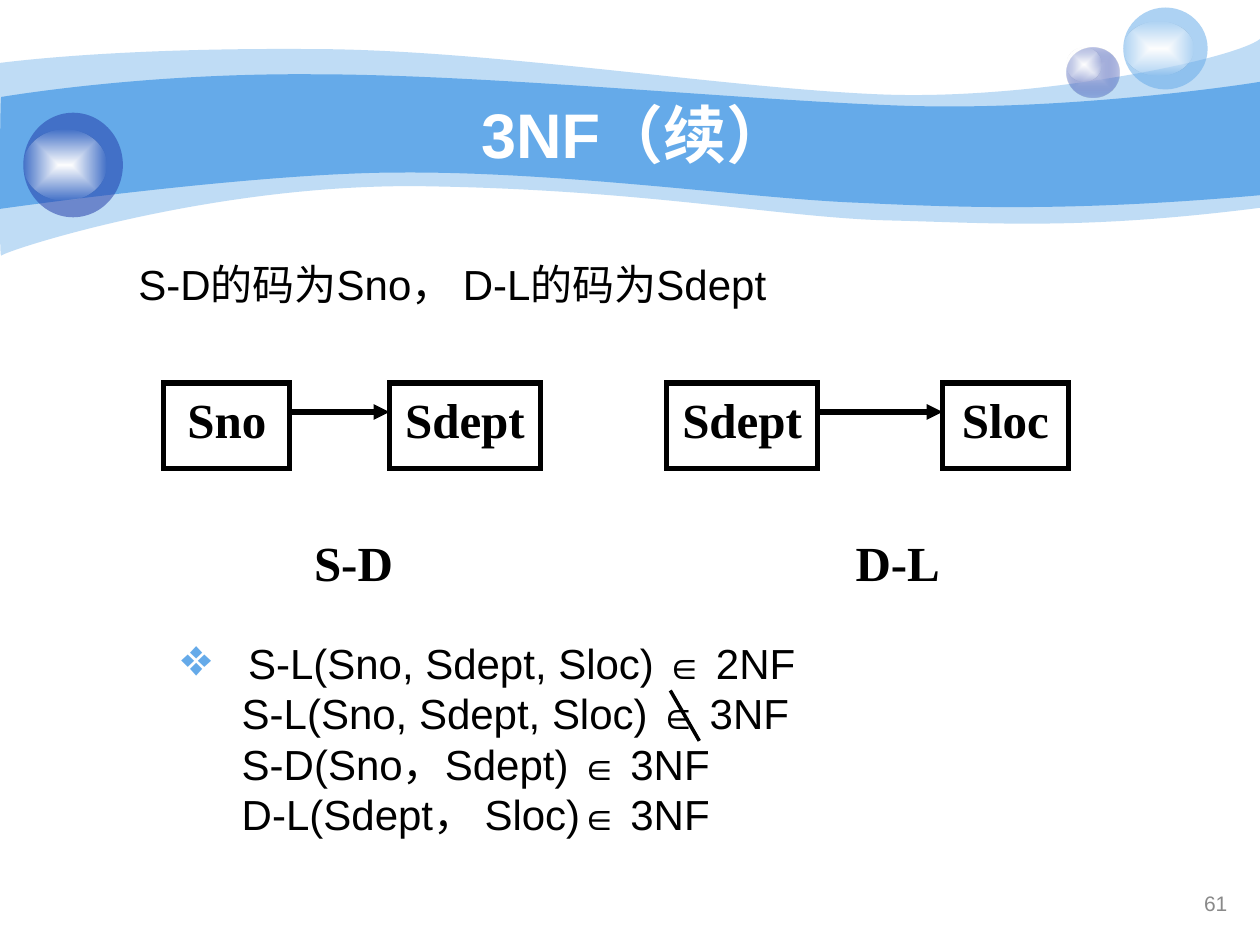
from dataclasses import dataclass

from lxml.etree import SubElement
from pptx import Presentation
from pptx.dml.color import RGBColor
from pptx.enum.shapes import MSO_CONNECTOR, MSO_SHAPE
from pptx.enum.text import MSO_ANCHOR, PP_ALIGN
from pptx.oxml import parse_xml
from pptx.oxml.ns import nsdecls, qn
from pptx.util import Inches, Pt


@dataclass(frozen=True)
class Theme:
    sky: str = "65AAE9"
    navy: str = "233DA9"
    lilac: str = "C7CEE9"
    white: str = "FFFFFF"
    ink: str = "000000"
    grey: str = "898989"
    sans: str = "Arial"
    serif: str = "Times New Roman"
    title: int = 36
    node: int = 28
    body: int = 24
    symbol: int = 22
    page: int = 12


THEME = Theme()
COLUMNS, ROWS = 100, 75  # square grid cells, a tenth of an inch each
BOX_TOP, BOX_HEIGHT, ARROW_ROW, LABEL_TOP = 30.4, 6.8, 32.7, 41.75

# Wave outlines in grid cells: three points make a Bezier curve, one a straight side
PALE_WAVE = [
    [(0, 5)],
    [(2.4, 4.7), (10.7, 3.8), (24.7, 3.9)],
    [(38.6, 3.9), (57.5, 7), (69.9, 7.5)],
    [(82.2, 8), (98, 4.7), (100, 3.1)],
    [(100, 16.5)],
    [(85.8, 18.3), (78.7, 17.7), (70.5, 17.5)],
    [(62.2, 17.3), (51.5, 15.1), (34.3, 14.8)],
    [(17.2, 14.4), (0.4, 19.9), (0.1, 20.3)],
    [(-0.1, 20.8), (0, 7.5), (0, 5)],
]
BLUE_WAVE = [
    [(0.1, 7.7)],
    [(0.2, 7.7), (11, 5.8), (24.8, 5.9)],
    [(38.6, 5.9), (59.5, 8), (71.8, 8.4)],
    [(84.1, 8.8), (97.6, 6.9), (100, 6.5)],
    [(100, 15.5)],
    [(85.3, 16.8), (76.5, 16.5), (68.2, 16.1)],
    [(59.9, 15.8), (44.7, 13.6), (31.7, 13.7)],
    [(20.3, 13.7), (-0.2, 16.6), (-0.1, 16.6)],
    [(0, 16.6), (0, 7.7), (0.1, 7.7)],
]


def cells(*lengths):
    return [Inches(length / 10) for length in lengths]


def fill_solid(shape, color, opacity=100):
    shape.fill.solid()
    shape.fill.fore_color.rgb = RGBColor.from_string(color)
    if opacity < 100:
        srgb = shape._element.spPr.find(qn("a:solidFill"))[0]
        SubElement(srgb, qn("a:alpha"), val=str(opacity * 1000))


def fill_glow(shape, center, edge, edge_opacity):
    shape.fill.background()
    properties = shape._element.spPr
    properties.replace(properties.find(qn("a:noFill")), parse_xml(
        f'<a:gradFill {nsdecls("a")}><a:gsLst>'
        f'<a:gs pos="0"><a:srgbClr val="{center}"/></a:gs>'
        f'<a:gs pos="100000"><a:srgbClr val="{edge}">'
        f'<a:alpha val="{edge_opacity * 1000}"/></a:srgbClr></a:gs></a:gsLst>'
        '<a:path path="rect"><a:fillToRect l="50000" t="50000" r="50000" b="50000"/>'
        '</a:path></a:gradFill>'))


def add_wave(slide, outline, color, opacity=100):
    (start,), *segments = outline
    builder = slide.shapes.build_freeform(*cells(*start))
    builder.add_line_segments([cells(*point) for segment in segments for point in segment])
    wave = builder.convert_to_shape()
    # Join each run of three points into one Bezier curve
    sides = iter(list(wave._element.iter(qn("a:lnTo"))))
    for segment in segments:
        curve, *others = [next(sides) for _ in segment]
        if others:
            curve.tag = qn("a:cubicBezTo")
        for other in others:
            curve.append(other[0])
            other.getparent().remove(other)
    wave.shadow.inherit = False
    wave.line.fill.background()
    fill_solid(wave, color, opacity)


def add_ellipse(slide, area):
    ellipse = slide.shapes.add_shape(MSO_SHAPE.OVAL, *cells(*area))
    ellipse.shadow.inherit = False
    ellipse.line.fill.background()
    return ellipse


def add_line(slide, start, end, width, arrow=False):
    line = slide.shapes.add_connector(MSO_CONNECTOR.STRAIGHT, *cells(*start, *end))
    line.line.width = Pt(width)
    line.line.color.rgb = RGBColor.from_string(THEME.ink)
    if arrow:
        SubElement(line._element.spPr.find(qn("a:ln")), qn("a:tailEnd"), type="triangle")
    SubElement(line._element.spPr, qn("a:effectLst"))


def write(paragraph, *pieces, size, font=THEME.sans, color=THEME.ink, bold=False,
          align=PP_ALIGN.LEFT, margin=0, indent=0, bullet=None):
    """Fill a paragraph; a piece is a string or a (string, size) pair."""
    paragraph.alignment = align
    properties = paragraph._p.get_or_add_pPr()
    properties.set("marL", str(Inches(margin)))
    properties.set("indent", str(Inches(indent)))
    if bullet:
        SubElement(SubElement(properties, qn("a:buClr")), qn("a:srgbClr"), val=THEME.sky)
        SubElement(properties, qn("a:buSzPct"), val="125000")
        SubElement(properties, qn("a:buChar"), char=bullet)
    for piece in pieces:
        text, points = (piece, size) if isinstance(piece, str) else piece
        run = paragraph.add_run()
        run.text = text
        run.font.size, run.font.name, run.font.bold = Pt(points), font, bold
        run.font.color.rgb = RGBColor.from_string(color)


def add_frame(slide, area, anchor=MSO_ANCHOR.TOP):
    frame = slide.shapes.add_textbox(*cells(*area)).text_frame
    frame.word_wrap = True
    frame.vertical_anchor = anchor
    return frame


def add_node(slide, name, left, width):
    node = slide.shapes.add_shape(
        MSO_SHAPE.RECTANGLE, *cells(left, BOX_TOP, width, BOX_HEIGHT))
    node.shadow.inherit = False
    node.fill.background()
    node.line.width = Pt(3)
    node.line.color.rgb = RGBColor.from_string(THEME.ink)
    SubElement(node._element.spPr.find(qn("a:ln")), qn("a:miter"), lim="800000")
    node.text_frame.vertical_anchor = MSO_ANCHOR.TOP
    write(node.text_frame.paragraphs[0], name, size=THEME.node, font=THEME.serif,
          bold=True, align=PP_ALIGN.CENTER)


def add_dependency(slide, source, target, label):
    """Draw two (name, left, width) nodes, the arrow between them and a label."""
    add_node(slide, *source)
    add_node(slide, *target)
    add_line(slide, (source[1] + source[2], ARROW_ROW), (target[1], ARROW_ROW), 3, arrow=True)
    name, left, width = label
    caption = add_frame(slide, (left, LABEL_TOP, width, BOX_HEIGHT))
    write(caption.paragraphs[0], name, size=THEME.node, font=THEME.serif,
          bold=True, align=PP_ALIGN.CENTER)


def add_background(slide):
    add_wave(slide, PALE_WAVE, THEME.sky, 41)
    add_wave(slide, BLUE_WAVE, THEME.sky)
    bubbles = [
        ((84.65, 3.75, 4.2, 4), (84.65, 3.75, 2.8, 2.7), None),
        ((89.15, 0.6, 6.7, 6.5), (89.15, 1.7, 5.6, 4.3), THEME.sky),
        ((1.85, 8.95, 7.9, 8.3), (1.85, 10.3, 6.6, 5.6), THEME.navy),
    ]
    for ball, shine, color in bubbles:
        if color:
            fill_solid(add_ellipse(slide, ball), color, 53)
        else:
            fill_glow(add_ellipse(slide, ball), THEME.lilac, THEME.navy, 31)
        fill_glow(add_ellipse(slide, shine), THEME.white, THEME.white, 0)


def add_normal_forms(slide):
    relations = [("S-L(Sno, Sdept, Sloc) ", "2NF"), ("S-L(Sno, Sdept, Sloc) ", "3NF"),
                 ("S-D(Sno，Sdept) ", "3NF"), ("D-L(Sdept， Sloc)", "3NF")]
    frame = add_frame(slide, (9.8, 50.1, 57.5, 17))
    for row, (relation, form) in enumerate(relations):
        paragraph = frame.add_paragraph() if row else frame.paragraphs[0]
        layout = dict(margin=0.84) if row else dict(margin=0.89, indent=-0.53, bullet="❖")
        write(paragraph, relation, ("∈", THEME.symbol), f" {form}", size=THEME.body, **layout)
    # Stroke that negates the second membership sign
    add_line(slide, (53.2, 54.8), (55.5, 58.8), 2)


def main():
    presentation = Presentation()
    presentation.slide_width, presentation.slide_height = cells(COLUMNS, ROWS)
    slide = presentation.slides.add_slide(presentation.slide_layouts[6])
    add_background(slide)

    # Title and statement of the keys
    title = add_frame(slide, (10, 7.5, 80.8, 6.2), MSO_ANCHOR.MIDDLE)
    write(title.paragraphs[0], "3NF（续）", size=THEME.title, color=THEME.white,
          bold=True, align=PP_ALIGN.CENTER)
    keys = add_frame(slide, (5, 20, 90, 49.2))
    write(keys.paragraphs[0], "S-D的码为Sno， D-L的码为Sdept", size=THEME.body,
          margin=0.81, indent=-0.31)

    # Dependency diagrams
    add_dependency(slide, ("Sno", 13, 10), ("Sdept", 30.9, 12), ("S-D", 23, 10.1))
    add_dependency(slide, ("Sdept", 52.9, 12), ("Sloc", 74.8, 10), ("D-L", 66.8, 8.9))
    add_normal_forms(slide)

    # Page number
    page = add_frame(slide, (75.1, 69.8, 23.3, 4), MSO_ANCHOR.MIDDLE)
    write(page.paragraphs[0], "61", size=THEME.page, color=THEME.grey, align=PP_ALIGN.RIGHT)
    page.paragraphs[0].line_spacing = 0.9
    presentation.save("out.pptx")


if __name__ == "__main__":
    main()
